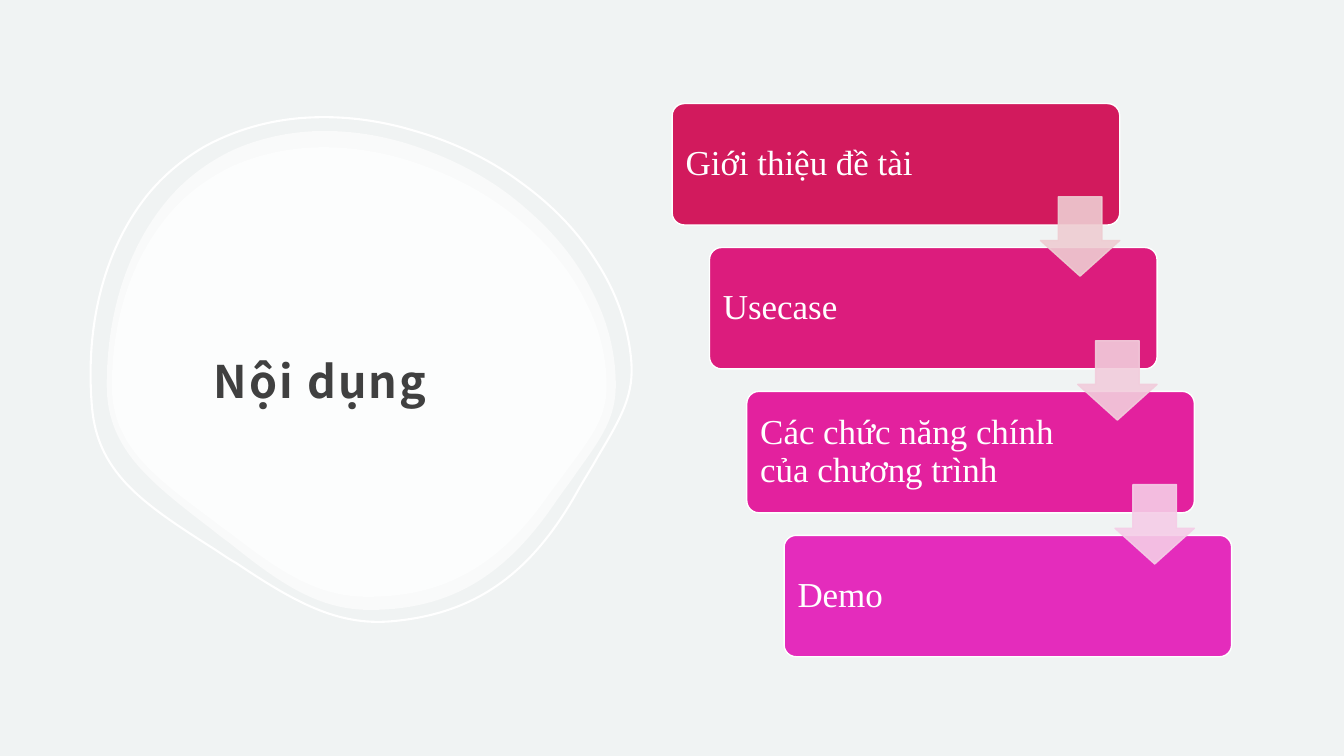
import lxml.etree
import pptx
import pptx.dml.color
import pptx.enum.shapes
import pptx.enum.text
import pptx.oxml.ns
import pptx.util

Cm = pptx.util.Cm
Pt = pptx.util.Pt
RGBColor = pptx.dml.color.RGBColor
MSO_SHAPE = pptx.enum.shapes.MSO_SHAPE
qn = pptx.oxml.ns.qn

BACKGROUND = RGBColor(0xF0, 0xF3, 0xF3)
WHITE = RGBColor(0xFF, 0xFF, 0xFF)
DARK = RGBColor(0x40, 0x40, 0x40)
STEPS = [
    ("Giới thiệu đề tài", RGBColor(0xD2, 0x1A, 0x5D)),
    ("Usecase", RGBColor(0xDC, 0x1C, 0x7D)),
    ("Các chức năng chính của chương trình", RGBColor(0xE3, 0x21, 0x9E)),
    ("Demo", RGBColor(0xE4, 0x2C, 0xBC)),
]
ARROW_COLORS = [
    RGBColor(0xEE, 0xCD, 0xD2),
    RGBColor(0xF2, 0xCD, 0xDC),
    RGBColor(0xF5, 0xCD, 0xE7),
]

BLOB_SIZE = (505, 475)
BLOB_START = (216, 0)
BLOB_CURVES = [
    ((183, 0), (152, 7), (125, 19)),
    ((100, 31), (77, 48), (59, 70)),
    ((21, 116), (0, 180), (0, 252)),
    ((0, 280), (8, 303), (26, 326)),
    ((45, 350), (74, 372), (104, 395)),
    ((109, 399), (115, 404), (121, 408)),
    ((172, 449), (210, 475), (261, 475)),
    ((339, 475), (395, 443), (446, 367)),
    ((453, 357), (460, 348), (466, 339)),
    ((492, 303), (505, 284), (505, 252)),
    ((505, 220), (497, 188), (481, 158)),
    ((466, 128), (444, 101), (416, 77)),
    ((389, 53), (356, 34), (322, 21)),
    ((287, 7), (251, 0), BLOB_START),
]


def set_opacity(shape, percent):
    """Give every colour of the shape the same opacity."""
    for color in shape.element.spPr.iter(qn("a:srgbClr")):
        alpha = lxml.etree.SubElement(color, qn("a:alpha"))
        alpha.set("val", str(percent * 1000))


def curve_segments(shape):
    """Turn each three line segments of a freeform into one Bézier curve."""
    lines = list(shape.element.spPr.iter(qn("a:lnTo")))
    for first in range(0, len(lines), 3):
        curve = lxml.etree.Element(qn("a:cubicBezTo"))
        lines[first].addprevious(curve)
        for line in lines[first:first + 3]:
            curve.append(line[0])
            line.getparent().remove(line)


def write_text(shape, text, *, font, size, color, bold=False, line_spacing=1.0,
               letter_spacing=0, insets=(0, 0, 0, 0)):
    """Write one left-aligned, vertically centred paragraph into the shape."""
    frame = shape.text_frame
    frame.word_wrap = True
    frame.auto_size = pptx.enum.text.MSO_AUTO_SIZE.NONE
    frame.vertical_anchor = pptx.enum.text.MSO_ANCHOR.MIDDLE
    (frame.margin_left, frame.margin_top,
     frame.margin_right, frame.margin_bottom) = map(Cm, insets)
    para = frame.paragraphs[0]
    para.alignment = pptx.enum.text.PP_ALIGN.LEFT
    para.line_spacing = line_spacing
    span = para.add_run()
    span.text = text
    span.font.name = font
    span.font.size = Pt(size)
    span.font.bold = bold
    span.font.color.rgb = color
    if letter_spacing:
        span.font._element.set("spc", str(round(letter_spacing * 100)))


def add_blob(page, left, top, width, height):
    """Draw the blob outline so that it fills the given box."""
    points = [(Cm(left + x * width / BLOB_SIZE[0]), Cm(top + y * height / BLOB_SIZE[1]))
              for x, y in [BLOB_START, *sum(BLOB_CURVES, ())]]
    builder = page.shapes.build_freeform(*points[0])
    builder.add_line_segments(points[1:], close=True)
    blob = builder.convert_to_shape()
    curve_segments(blob)
    blob.shadow.inherit = False
    return blob


def add_title_region(page, left, top, width, height):
    """Draw the layered blobs and the title inside the given box."""
    for inset_x, inset_y, trim_x, trim_y in ((0.43, 0.43, 0.81, 0.76), (0.56, 0.84, 1.17, 1.5)):
        blob = add_blob(page, left + inset_x, top + inset_y, width - trim_x, height - trim_y)
        blob.fill.solid()
        blob.fill.fore_color.rgb = WHITE
        blob.line.fill.background()
        set_opacity(blob, 60)
    outline = add_blob(page, left, top, width, height)
    outline.fill.background()
    outline.line.color.rgb = WHITE
    outline.line.width = Pt(1.5)
    outline.rotation = -5

    title = page.shapes.title
    title.left, title.top = Cm(left + 2.82), Cm(top + 2.41)
    title.width, title.height = Cm(9.19), Cm(8.15)
    write_text(title, "Nội dụng", font="Noto Sans CJK JP", size=32, color=DARK, bold=True,
               line_spacing=1.3, letter_spacing=1.5, insets=(0.3, 0.3, 0.3, 0.25))
    outline.element.addnext(title.element)


def add_block(page, kind, box, adjustments, fill, line):
    """Add a preset shape with a plain fill and a one-point line."""
    block = page.shapes.add_shape(kind, *map(Cm, box))
    block.shadow.inherit = False
    for index, value in enumerate(adjustments):
        block.adjustments[index] = value
    block.fill.solid()
    block.fill.fore_color.rgb = fill
    block.line.color.rgb = line
    block.line.width = Pt(1)
    return block


def add_steps(page, left, top, width, height):
    """Draw the staircase of steps and the arrows between them in the given box."""
    card_width, card_height, arrow_size = 11.28, 3.06, 2.0
    shift_x = (width - card_width) / (len(STEPS) - 1)
    shift_y = (height - card_height) / (len(STEPS) - 1)
    for index, (text, color) in enumerate(STEPS):
        box = (left + index * shift_x, top + index * shift_y, card_width, card_height)
        card = add_block(page, MSO_SHAPE.ROUNDED_RECTANGLE, box, [0.1], color, WHITE)
        write_text(card, text, font="Times New Roman", size=25, color=WHITE,
                   line_spacing=0.9, insets=(0.25, 0.25, 3.05, 0.25))
    for index, color in enumerate(ARROW_COLORS):
        box = (left + index * shift_x + card_width - arrow_size,
               top + index * shift_y + 2.35, arrow_size, arrow_size)
        arrow = add_block(page, MSO_SHAPE.DOWN_ARROW, box, [0.55, 0.45], color, color)
        set_opacity(arrow, 90)


def main():
    """Build the contents slide and save the deck."""
    deck = pptx.Presentation()
    deck.slide_width, deck.slide_height = Cm(33.87), Cm(19.05)
    page = deck.slides.add_slide(deck.slide_layouts[5])
    page.background.fill.solid()
    page.background.fill.fore_color.rgb = BACKGROUND
    add_title_region(page, 2.26, 2.87, 13.64, 12.83)
    add_steps(page, 16.94, 2.61, 14.1, 13.94)
    deck.save("out.pptx")


if __name__ == "__main__":
    main()
